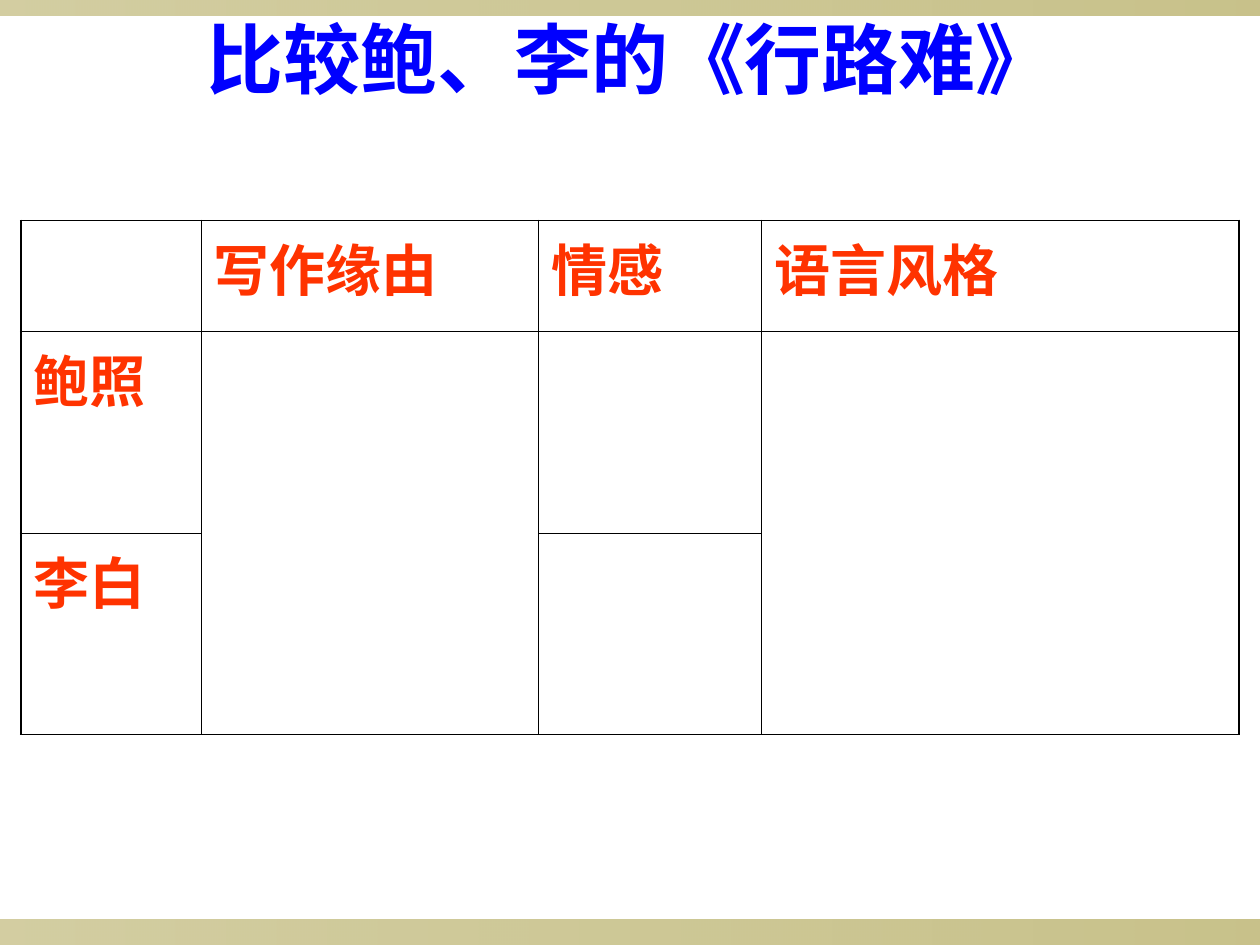
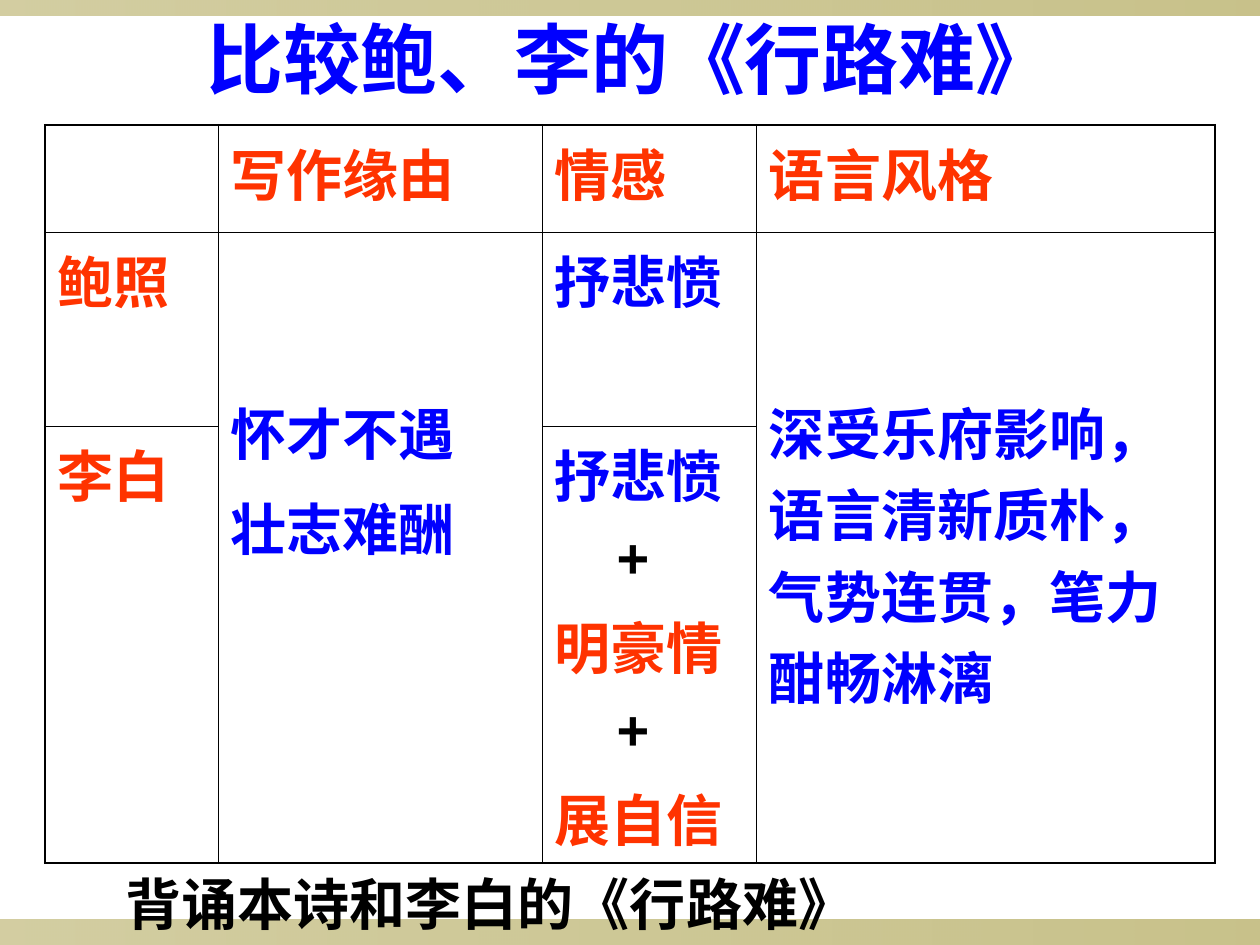
from lxml import etree
from pptx import Presentation
from pptx.dml.color import RGBColor
from pptx.enum.shapes import MSO_SHAPE
from pptx.enum.text import MSO_ANCHOR, MSO_AUTO_SIZE, PP_ALIGN
from pptx.oxml.ns import qn
from pptx.util import Inches, Pt

RECTANGLE = MSO_SHAPE.RECTANGLE
MIDDLE = MSO_ANCHOR.MIDDLE
GROW = MSO_AUTO_SIZE.SHAPE_TO_FIT_TEXT
CENTER = PP_ALIGN.CENTER

# Shared style
COLORS = {"blue": "0000FF", "red": "FF3300", "black": "000000", "band": "918415"}
TITLE_FONT, BODY_FONT = "Karla", "Arial"
TITLE_SIZE, BODY_SIZE = 44, 32
WIDTH, HEIGHT = 10, 7.5
BANDS = [(HEIGHT - 0.2, 0.2), (0, 0.12)]  # top, height
BAND_OPACITY = (40, 50)
OUTER_LINE, INNER_LINE = 1.08, 0.45
PARA_GAP = 8
PLUS_INDENT = 0.49
MERGED_TEXT_TOP = 1.26
COLUMN_SHARES = (0.148, 0.277, 0.183, 0.392)
MERGED_COLUMNS = (1, 3)

# Content: cells hold lists of (text, colour)
TITLE = "比较鲍、李的《行路难》"
CLOSING = "背诵本诗和李白的《行路难》"
LABELS = {
    (0, 1): [("写作缘由", "red")],
    (0, 2): [("情感", "red")],
    (0, 3): [("语言风格", "red")],
    (1, 0): [("鲍照", "red")],
    (2, 0): [("李白", "red")],
}
ANSWERS = {
    (1, 1): [("怀才不遇", "blue"), ("壮志难酬", "blue")],
    (1, 2): [("抒悲愤", "blue")],
    (1, 3): [("深受乐府影响，语言清新质朴，气势连贯，笔力酣畅淋漓", "blue")],
    (2, 2): [("抒悲愤", "blue"), ("+", "black"), ("明豪情", "red"),
             ("+", "black"), ("展自信", "red")],
}
SLIDES = [
    {"top": 1.75, "width": 9.67, "rows": (0.88, 1.6, 1.6), "cells": LABELS},
    {"top": 0.99, "width": 9.29, "rows": (0.85, 1.54, 3.47),
     "cells": {**LABELS, **ANSWERS}, "closing": CLOSING},
]


def color(name):
    return RGBColor.from_string(COLORS[name])


def format_para(para, font, size, color_name):
    for span in para.runs:
        span.font.name, span.font.size, span.font.bold = font, Pt(size), True
        span.font.color.rgb = color(color_name)


def add_text(page, text, place, font, size, color_name):
    box = page.shapes.add_textbox(*map(Inches, place))
    frame = box.text_frame
    frame.word_wrap = True
    frame.text = text
    format_para(frame.paragraphs[0], font, size, color_name)
    return frame


def add_band(page, top, height):
    band = page.shapes.add_shape(RECTANGLE, 0, Inches(top), Inches(WIDTH), Inches(height))
    band.shadow.inherit = False
    band.line.fill.background()
    band.fill.gradient()
    band.fill.gradient_angle = 0
    for stop in band.fill.gradient_stops:
        stop.color.rgb = color("band")
    for tint, opacity in zip(band._element.spPr.iter(qn("a:srgbClr")), BAND_OPACITY):
        etree.SubElement(tint, qn("a:alpha"), val=str(opacity * 1000))


def draw_borders(cell, widths):
    props = cell._tc.get_or_add_tcPr()
    for index, (side, width) in enumerate(widths.items()):
        line = etree.Element(qn(f"a:ln{side}"), w=str(int(Pt(width))))
        fill = etree.SubElement(line, qn("a:solidFill"))
        etree.SubElement(fill, qn("a:srgbClr"), val=COLORS["black"])
        props.insert(index, line)


def fill_cell(cell, lines):
    frame = cell.text_frame
    frame.text = "\n".join(text for text, _ in lines)
    for index, (para, (text, color_name)) in enumerate(zip(frame.paragraphs, lines)):
        if index:
            para.space_before = Pt(PARA_GAP)
        if text == "+":
            para._p.get_or_add_pPr().set("marL", str(Inches(PLUS_INDENT)))
        format_para(para, BODY_FONT, BODY_SIZE, color_name)


def add_comparison(page, top, width, rows, cells):
    last_row, last_column = len(rows) - 1, len(COLUMN_SHARES) - 1
    table = page.shapes.add_table(
        len(rows), len(COLUMN_SHARES), Inches((WIDTH - width) / 2), Inches(top),
        Inches(width), Inches(sum(rows))).table
    table.first_row = table.horz_banding = False
    for column, share in zip(table.columns, COLUMN_SHARES):
        column.width = Inches(width * share)
    for row, height in zip(table.rows, rows):
        row.height = Inches(height)
    for column in MERGED_COLUMNS:
        table.cell(1, column).merge(table.cell(last_row, column))
        table.cell(1, column).margin_top = Inches(MERGED_TEXT_TOP)

    for r in range(len(rows)):
        for c in range(len(COLUMN_SHARES)):
            cell = table.cell(r, c)
            cell.fill.background()
            at_edge = {"L": c == 0, "R": c == last_column, "T": r == 0,
                       "B": r == last_row or cell.is_merge_origin}
            if cell.is_spanned:
                del at_edge["T"]
            draw_borders(cell, {side: OUTER_LINE if edge else INNER_LINE
                                for side, edge in at_edge.items()})
            if (r, c) in cells:
                fill_cell(cell, cells[r, c])


def build_page(deck, top, width, rows, cells, closing=None):
    page = deck.slides.add_slide(deck.slide_layouts[6])
    for band in BANDS:
        add_band(page, *band)
    # Title
    title = add_text(page, TITLE, (0.5, 0, WIDTH - 1, 0.92), TITLE_FONT, TITLE_SIZE, "blue")
    title.vertical_anchor = MIDDLE
    title.paragraphs[0].alignment = CENTER
    # Comparison table
    add_comparison(page, top, width, rows, cells)
    # Closing task
    if closing:
        task = add_text(page, closing, (0.9, 6.32, 6.38, 1.17), BODY_FONT, BODY_SIZE, "black")
        task.auto_size = GROW
        task.paragraphs[0].line_spacing = 2.0


def main():
    deck = Presentation()
    deck.slide_width, deck.slide_height = Inches(WIDTH), Inches(HEIGHT)
    for content in SLIDES:
        build_page(deck, **content)
    deck.save("out.pptx")


if __name__ == "__main__":
    main()
